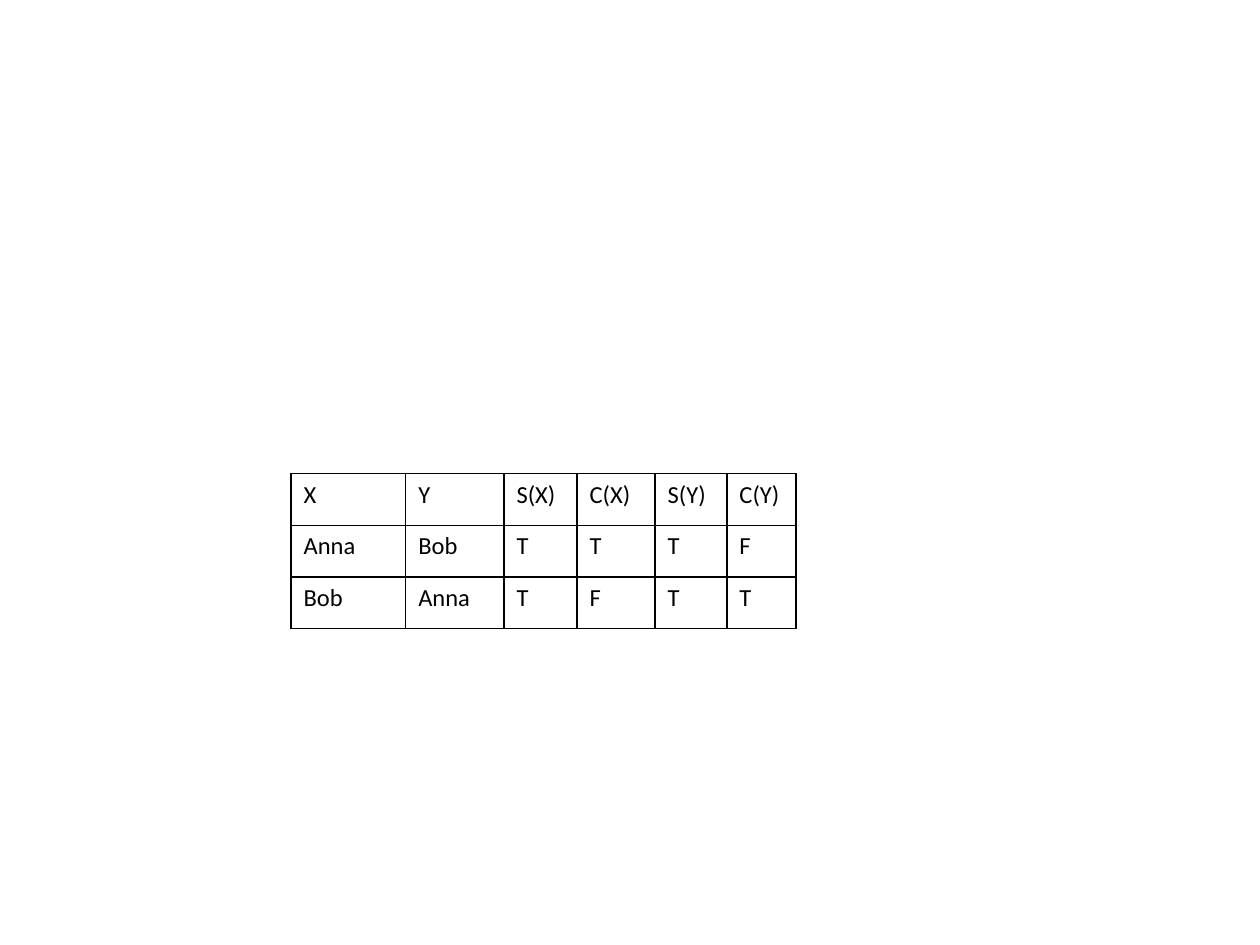
"""Build a slide with a truth table for pairs of people."""
from lxml import etree
from pptx import Presentation
from pptx import util as u
from pptx.dml.color import RGBColor
from pptx.oxml import ns

BLACK = RGBColor(0x00, 0x00, 0x00)
TEXT_FORMAT = {"name": "Calibri", "size": u.Pt(14), "bold": False}
COLUMN_WIDTHS = [0.91, 0.78, 0.58, 0.62, 0.57, 0.55]
ROW_HEIGHT = 0.41
TRUTH_ROWS = [
    ["X", "Y", "S(X)", "C(X)", "S(Y)", "C(Y)"],
    ["Anna", "Bob", "T", "T", "T", "F"],
    ["Bob", "Anna", "T", "F", "T", "T"],
]


class SlideBuilder:
    def __init__(self, slide, text_format, color, border_width):
        self.slide = slide
        self.text_format = text_format
        self.color = color
        self.border_width = border_width

    def table(self, left, top, widths, row_height, rows):
        frame = self.slide.shapes.add_table(
            len(rows), len(widths), u.Inches(left), u.Inches(top),
            u.Inches(sum(widths)), u.Inches(row_height * len(rows)))
        table = frame.table
        table.first_row = table.horz_banding = False
        for column, width in zip(table.columns, widths):
            column.width = u.Inches(width)
        for row, values in zip(table.rows, rows):
            row.height = u.Inches(row_height)
            for cell, value in zip(row.cells, values):
                self.cell(cell, value)

    def cell(self, cell, value):
        para = cell.text_frame.paragraphs[0]
        span = para.add_run()
        span.text = value
        for name, setting in self.text_format.items():
            setattr(span.font, name, setting)
        span.font.color.rgb = self.color
        self.borders(cell)
        cell.fill.background()

    def borders(self, cell):
        properties = cell._tc.get_or_add_tcPr()
        for side in ("lnL", "lnR", "lnT", "lnB"):
            line = etree.SubElement(properties, ns.qn(f"a:{side}"), w=str(self.border_width))
            fill = etree.SubElement(line, ns.qn("a:solidFill"))
            etree.SubElement(fill, ns.qn("a:srgbClr"), val=str(self.color))


def main():
    deck = Presentation()
    deck.slide_width, deck.slide_height = u.Inches(10), u.Inches(7.5)
    page = deck.slides.add_slide(deck.slide_layouts[6])
    builder = SlideBuilder(page, TEXT_FORMAT, BLACK, u.Pt(1))
    builder.table(2.31, 3.76, COLUMN_WIDTHS, ROW_HEIGHT, TRUTH_ROWS)
    deck.save("out.pptx")


if __name__ == "__main__":
    main()
